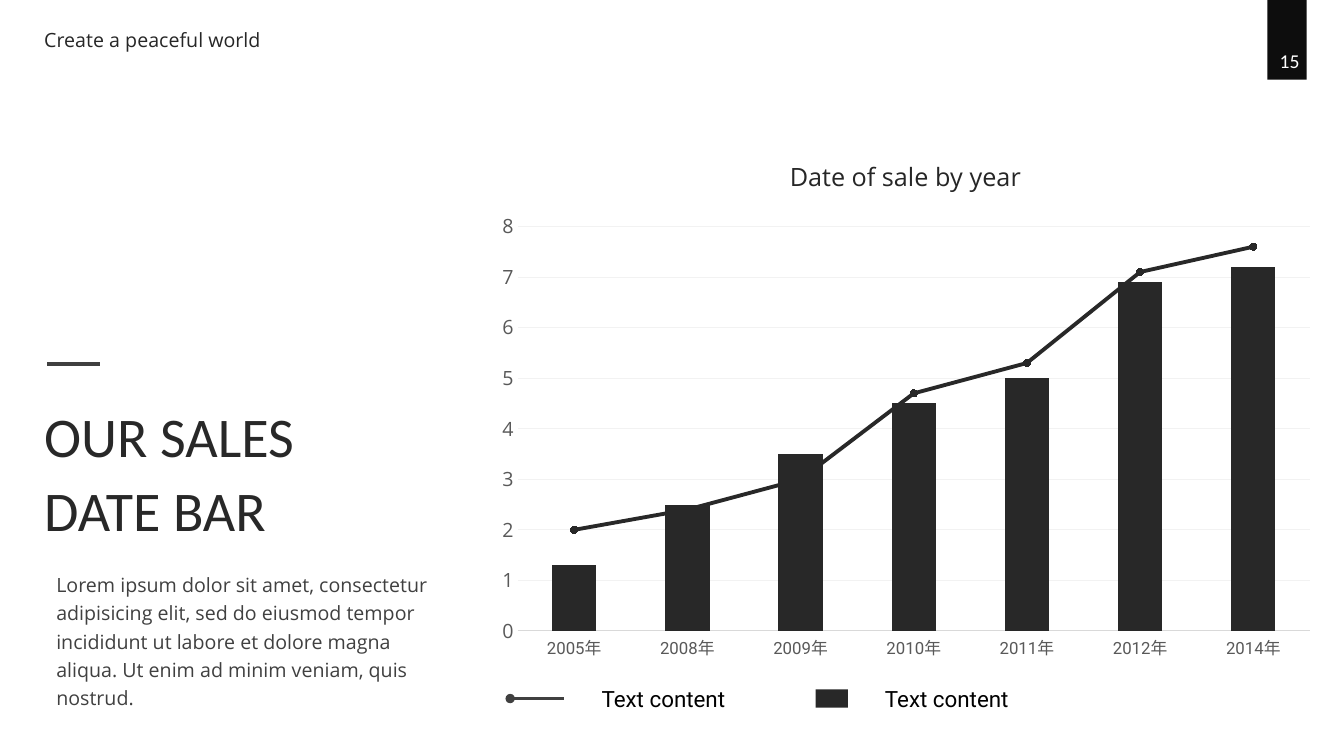
from lxml import etree
from pptx import Presentation
from pptx.chart.data import CategoryChartData
from pptx.dml.color import RGBColor
from pptx.enum.chart import XL_CHART_TYPE as ChartType, XL_MARKER_STYLE as Marker, XL_TICK_MARK as Tick
from pptx.enum.shapes import MSO_CONNECTOR as Connector, MSO_SHAPE as Shape
from pptx.enum.text import MSO_ANCHOR as Anchor, MSO_AUTO_SIZE as AutoSize, PP_ALIGN as Align
from pptx.oxml import parse_xml
from pptx.oxml.ns import nsdecls, qn
from pptx.util import Inches, Pt

# Content
HEADER = "Create a peaceful world"
PAGE_NUMBER = "15"
HEADING = ["OUR SALES", "DATE BAR"]
BODY = ("Lorem ipsum dolor sit amet, consectetur adipisicing elit, sed do eiusmod tempor "
        "incididunt ut labore et dolore magna aliqua. Ut enim ad minim veniam, quis nostrud.")
CHART_TITLE = "Date of sale by year"
YEARS = ["2005年", "2008年", "2009年", "2010年", "2011年", "2012年", "2014年"]
SALES = {"Series 1": (1.3, 2.5, 3.5, 4.5, 5, 6.9, 7.2),
         "Series 2": (2, 2.4, 3, 4.7, 5.3, 7.1, 7.6)}
LEGEND = "Text content"

COLORS = {"tab": "0D0D0D", "white": "FFFFFF", "text": "262626", "bar": "282828",
          "rule": "404040", "axis_text": "595959", "axis": "D9D9D9", "grid": "F2F2F2",
          "black": "000000"}

# Layout in inches
LEFT = 0.34
LEGEND_TOP, LEGEND_WIDTH, LEGEND_HEIGHT = 6.75, 2, 0.36
LEGEND_MIDDLE = LEGEND_TOP + LEGEND_HEIGHT / 2
PLOT_AREA = {"x": 0.04, "y": 0.17, "w": 0.94, "h": 0.76}  # shares of the chart

deck = Presentation()
deck.slide_width, deck.slide_height = Inches(13.33), Inches(7.5)
page = deck.slides.add_slide(deck.slide_layouts[6])


def color(name):
    return RGBColor.from_string(COLORS[name])


def set_font(font, size, name, tint):
    font.size, font.name, font.bold = Pt(size), name, False
    font.color.rgb = color(tint)


def set_line(line, tint, width):
    line.color.rgb, line.width = color(tint), Pt(width)


def add_text(text, place, size=14, font="Open Sans", tint="text",
             align=Align.LEFT, anchor=Anchor.TOP, spacing=1.0):
    box = page.shapes.add_textbox(*map(Inches, place))
    frame = box.text_frame
    frame.word_wrap, frame.auto_size = True, AutoSize.SHAPE_TO_FIT_TEXT
    frame.vertical_anchor = anchor
    for index, words in enumerate([text] if isinstance(text, str) else text):
        para = frame.add_paragraph() if index else frame.paragraphs[0]
        para.alignment, para.line_spacing = align, spacing
        span = para.add_run()
        span.text = words
        set_font(span.font, size, font, tint)


def add_block(place, tint):
    block = page.shapes.add_shape(Shape.RECTANGLE, *map(Inches, place))
    block.shadow.inherit = False
    block.fill.solid()
    block.fill.fore_color.rgb = color(tint)
    block.line.fill.background()


def add_rule(left, right, top, width, dot=False):
    rule = page.shapes.add_connector(Connector.STRAIGHT, *map(Inches, (left, top, right, top)))
    set_line(rule.line, "rule", width)
    properties = rule._element.spPr
    if dot:
        etree.SubElement(properties.find(qn("a:ln")), qn("a:headEnd"), type="oval")
    etree.SubElement(properties, qn("a:effectLst"))


def move_to_line_plot(chart):
    """Turn the second column series into a line on the same axes."""
    columns = chart.plots[0]._element
    series = columns.findall(qn("c:ser"))[1]
    for flag in series.findall(qn("c:invertIfNegative")):
        series.remove(flag)
    axes = "".join(f'<c:axId val="{axis.get("val")}"/>' for axis in columns.findall(qn("c:axId")))
    lines = parse_xml(f'<c:lineChart {nsdecls("c")}><c:grouping val="standard"/>'
                      f'<c:varyColors val="0"/><c:marker val="1"/>{axes}</c:lineChart>')
    lines.find(qn("c:marker")).addprevious(series)
    columns.addnext(lines)


def place_plot(chart):
    modes = '<c:layoutTarget val="inner"/><c:xMode val="edge"/><c:yMode val="edge"/>'
    shares = "".join(f'<c:{key} val="{share}"/>' for key, share in PLOT_AREA.items())
    area = chart._chartSpace.chart.plotArea
    for old in area.findall(qn("c:layout")):
        area.remove(old)
    area.insert(0, parse_xml(f'<c:layout {nsdecls("c")}><c:manualLayout>{modes}{shares}'
                             '</c:manualLayout></c:layout>'))


# Page number tab and header
add_block((12.57, 0, 0.39, 0.79), "tab")
add_text(PAGE_NUMBER, (12.43, 0.43, 0.72, 0.34), font="Calibri", tint="white",
         align=Align.CENTER, anchor=Anchor.MIDDLE)
add_text(HEADER, (LEFT, 0.23, 3.31, 0.34))

# Combined chart
data = CategoryChartData()
data.categories = YEARS
for name, values in SALES.items():
    data.add_series(name, values)
chart = page.shapes.add_chart(ChartType.COLUMN_CLUSTERED,
                              *map(Inches, (4.8, 1.35, 8.36, 5.28)), data).chart
set_font(chart.font, 10, "Noto Sans CJK SC", "black")
chart.has_legend = False
chart.has_title = True
chart.chart_title.include_in_layout = False
title = chart.chart_title.text_frame.paragraphs[0].add_run()
title.text = CHART_TITLE
set_font(title.font, 18, "Open Sans", "text")
move_to_line_plot(chart)
place_plot(chart)

columns, lines = chart.plots
columns.gap_width, columns.overlap, columns.vary_by_categories = 155, -22, False
bars, trend = columns.series[0], lines.series[0]
trend.smooth = False
set_line(trend.format.line, "bar", 2.75)
trend.marker.style, trend.marker.size = Marker.CIRCLE, 5
set_line(trend.marker.format.line, "bar", 0.75)
for part in (bars, trend.marker):
    part.format.fill.solid()
    part.format.fill.fore_color.rgb = color("bar")

years, amounts = chart.category_axis, chart.value_axis
for axis, size, font in ((years, 12, "Roboto"), (amounts, 14, "Open Sans")):
    axis.major_tick_mark = axis.minor_tick_mark = Tick.NONE
    set_font(axis.tick_labels.font, size, font, "axis_text")
set_line(years.format.line, "axis", 0.75)
amounts.format.line.fill.background()
amounts.minimum_scale, amounts.maximum_scale, amounts.major_unit = 0, 8, 1
set_line(amounts.major_gridlines.format.line, "grid", 0.75)

# Legend
add_rule(5.06, 5.59, LEGEND_MIDDLE, 2.25, dot=True)
add_block((8.09, LEGEND_MIDDLE - 0.09, 0.32, 0.18), "bar")
for left in (5.58, 8.39):
    add_text(LEGEND, (left, LEGEND_TOP, LEGEND_WIDTH, LEGEND_HEIGHT), size=16,
             font="Roboto", tint="black", align=Align.CENTER)

# Heading and description
add_rule(0.47, 0.99, 3.61, 3)
add_text(HEADING, (LEFT, 3.87, 5.83, 1.51), size=40, font="Calibri", tint="bar", spacing=1.1)
add_text(BODY, (0.46, 5.59, 3.99, 1.51), tint="rule", spacing=1.2)

deck.save("out.pptx")
